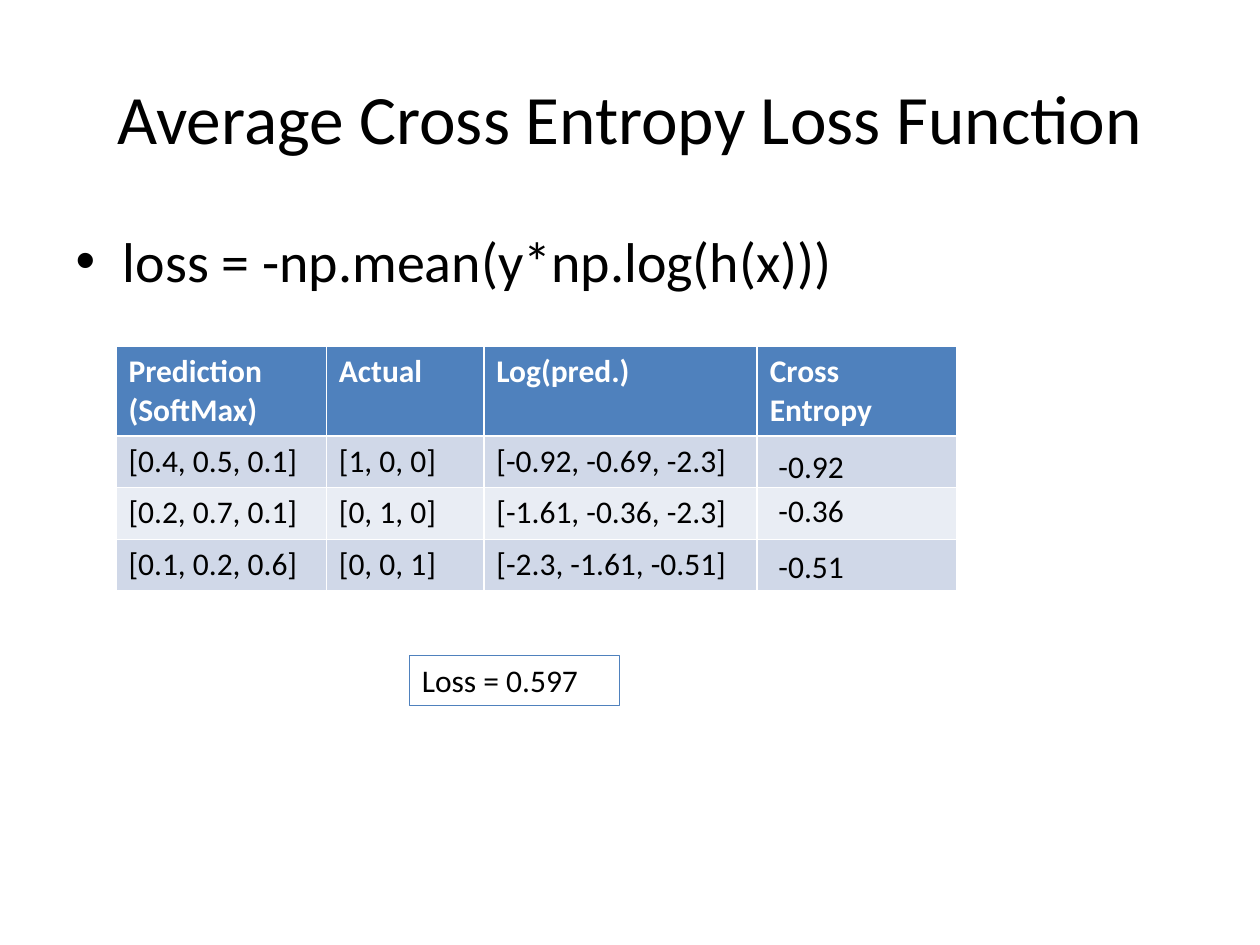
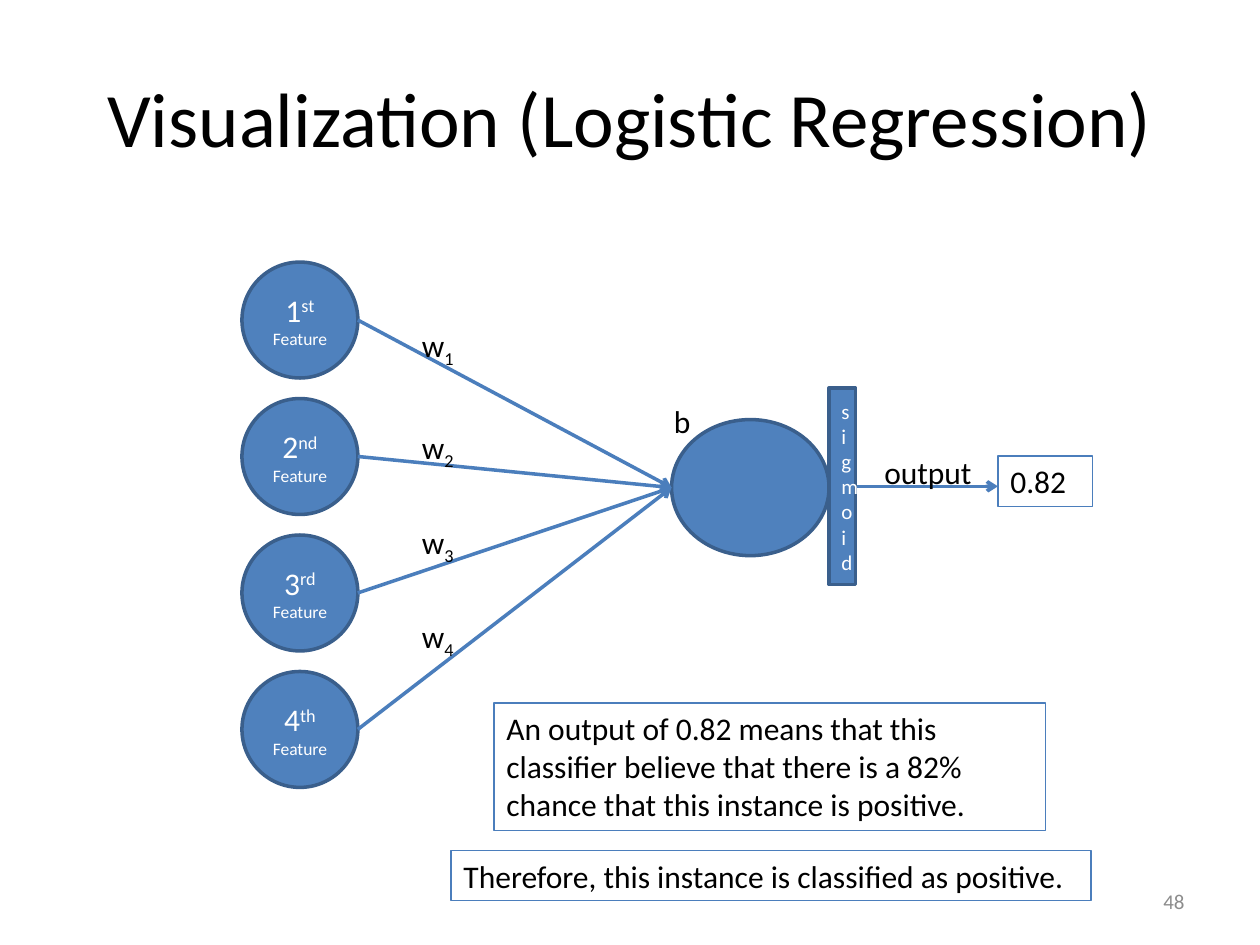
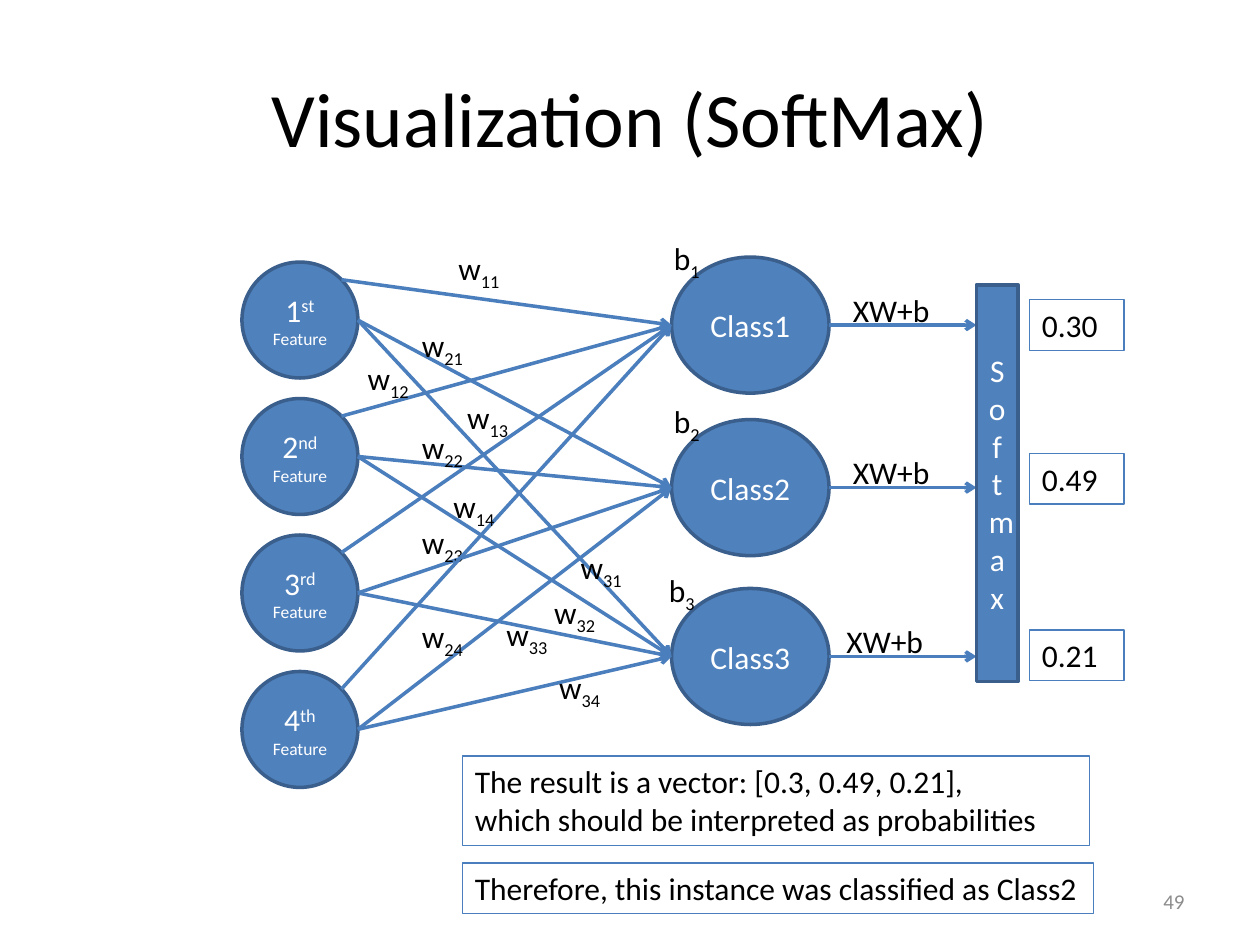
from lxml import etree
from pptx import Presentation
from pptx.dml.color import RGBColor
from pptx.enum import shapes, text
from pptx.oxml import ns
from pptx.util import Inches, Pt

COLORS = {
    "text": "000000", "light": "FFFFFF", "number": "8C8C8C",
    "fill": "4F81BD", "outline": "3A5F8C", "arrow": "4B7EBC",
    "band_dark": "D0D8E8", "band_light": "E9EDF4",
}
FONT = "Calibri"
SUBSCRIPT, SUPERSCRIPT = -25000, 30000

FEATURE_LEFT, FEATURE_TOP, FEATURE_STEP, FEATURE_SIZE = 1.92, 2.08, 1.083, 0.92
NEURON_LEFT, NEURON_WIDTH, NEURON_HEIGHT = 5.33, 1.25, 1.08
ORDINALS = ["st", "nd", "rd", "th"]


def color(name):
    return RGBColor.from_string(COLORS[name])


def style(para, size=18, ink="text", align=text.PP_ALIGN.LEFT, bold=False):
    para.alignment = align
    font = para.font
    font.name, font.size, font.bold = FONT, Pt(size), bold
    font.color.rgb = color(ink)


def add_span(para, words, baseline=0, size=None):
    span = para.add_run()
    span.text = words
    if baseline:
        span.font._element.set("baseline", str(baseline))
    if size:
        span.font.size = Pt(size)


def add_page(deck, title, number=None, layout=5, size=44):
    page = deck.slides.add_slide(deck.slide_layouts[layout])
    holder = page.shapes.title
    holder.left, holder.top, holder.width, holder.height = map(Inches, (0.5, 0.3, 9, 1.25))
    holder.text_frame.text = title
    holder.text_frame.vertical_anchor = text.MSO_ANCHOR.MIDDLE
    style(holder.text_frame.paragraphs[0], size, align=text.PP_ALIGN.CENTER)
    if number:
        box = page.shapes.add_textbox(*map(Inches, (7.17, 6.95, 2.33, 0.4)))
        box.text_frame.text = number
        box.text_frame.vertical_anchor = text.MSO_ANCHOR.MIDDLE
        style(box.text_frame.paragraphs[0], 12, "number", text.PP_ALIGN.RIGHT)
    return page


def add_label(canvas, words, left, top, width, height=0.4, subscript=""):
    box = canvas.add_textbox(*map(Inches, (left, top, width, height)))
    frame = box.text_frame
    frame.word_wrap = True
    frame.auto_size = text.MSO_AUTO_SIZE.SHAPE_TO_FIT_TEXT
    frame.text = words
    for para in frame.paragraphs:
        style(para)
    if subscript:
        add_span(frame.paragraphs[0], subscript, SUBSCRIPT)
    return box


def add_framed_label(canvas, words, left, top, width, height=0.4, line="arrow"):
    box = add_label(canvas, words, left, top, width, height)
    box.line.color.rgb = color(line)
    box.line.width = Pt(0.75)


def add_node(canvas, kind, left, top, width, height, words="", size=18):
    """Add a filled shape and return its paragraph."""
    node = canvas.add_shape(kind, *map(Inches, (left, top, width, height)))
    node.shadow.inherit = False
    node.fill.solid()
    node.fill.fore_color.rgb = color("fill")
    node.line.color.rgb = color("outline")
    node.line.width = Pt(2)
    node.text_frame.word_wrap = True
    node.text_frame.vertical_anchor = text.MSO_ANCHOR.MIDDLE
    para = node.text_frame.paragraphs[0]
    style(para, size, "light", text.PP_ALIGN.CENTER)
    if words:
        add_span(para, words)
    return para


def add_arrow(canvas, start, end):
    arrow = canvas.add_connector(shapes.MSO_CONNECTOR.STRAIGHT, *map(Inches, (*start, *end)))
    arrow.line.color.rgb = color("arrow")
    arrow.line.width = Pt(2)
    etree.SubElement(arrow.line._get_or_add_ln(), ns.qn("a:tailEnd"), type="arrow")
    etree.SubElement(arrow._element.spPr, ns.qn("a:effectLst"))


def add_features(canvas):
    for row, ordinal in enumerate(ORDINALS):
        para = add_node(canvas, shapes.MSO_SHAPE.OVAL, FEATURE_LEFT,
                        FEATURE_TOP + row * FEATURE_STEP, FEATURE_SIZE, FEATURE_SIZE)
        add_span(para, str(row + 1))
        add_span(para, ordinal + " ", SUPERSCRIPT)
        add_span(para, "Feature", size=10)


def add_neuron(canvas, top, name="", from_corner=False):
    """Add a neuron with an arrow from the right or upper right of each feature."""
    add_node(canvas, shapes.MSO_SHAPE.OVAL, NEURON_LEFT, top, NEURON_WIDTH, NEURON_HEIGHT, name)
    shift_x, shift_y = (-0.13, -0.32) if from_corner else (0, 0)
    for row in range(len(ORDINALS)):
        start = (FEATURE_LEFT + FEATURE_SIZE + shift_x,
                 FEATURE_TOP + FEATURE_SIZE / 2 + row * FEATURE_STEP + shift_y)
        add_arrow(canvas, start, (NEURON_LEFT, top + NEURON_HEIGHT / 2))


def add_weights(canvas, places, prefix=""):
    for index, (left, top) in enumerate(places, 1):
        add_label(canvas, "w", left, top, 0.7, subscript=f"{prefix}{index}")


def add_loss_table(page, rows, widths):
    table = page.shapes.add_table(len(rows), len(widths),
                                  *map(Inches, (0.92, 2.75, sum(widths), 1.92))).table
    for column, width in zip(table.columns, widths):
        column.width = Inches(width)
    for index, values in enumerate(rows):
        header = index == 0
        table.rows[index].height = Inches(0.7 if header else 0.41)
        fill = "fill" if header else "band_dark" if index % 2 else "band_light"
        for cell, value in zip(table.rows[index].cells, values):
            cell.fill.solid()
            cell.fill.fore_color.rgb = color(fill)
            cell.text = value
            for para in cell.text_frame.paragraphs:
                style(para, ink="light" if header else "text", bold=header)


def build_loss_page(deck):
    page = add_page(deck, "Average Cross Entropy Loss Function", layout=1, size=39.6)
    body = page.placeholders[1]
    body.left, body.top, body.width, body.height = map(Inches, (0.5, 1.75, 9, 4.95))
    body.text_frame.text = "loss = -np.mean(y*np.log(h(x)))"
    style(body.text_frame.paragraphs[0], 32)
    add_loss_table(page, [
        ["Prediction\n(SoftMax)", "Actual", "Log(pred.)", "Cross Entropy"],
        ["[0.4, 0.5, 0.1]", "[1, 0, 0]", "[-0.92, -0.69, -2.3]", ""],
        ["[0.2, 0.7, 0.1]", "[0, 1, 0]", "[-1.61, -0.36, -2.3]", ""],
        ["[0.1, 0.2, 0.6]", "[0, 0, 1]", "[-2.3, -1.61, -0.51]", ""],
    ], [1.67, 1.25, 2.17, 1.58])
    add_framed_label(page.shapes, "Loss = 0.597", 3.25, 5.2, 1.67, line="fill")
    for entropy, top in [("-0.92", 3.5), ("-0.36", 3.85), ("-0.51", 4.29)]:
        add_label(page.shapes, entropy, 6.08, top, 0.83)


def build_logistic_page(deck):
    canvas = add_page(deck, "Visualization (Logistic Regression)", "48").shapes
    add_features(canvas)
    add_neuron(canvas, 3.33)
    add_weights(canvas, [(3.25, 2.54), (3.25, 3.35), (3.25, 4.1), (3.25, 4.85)])
    add_label(canvas, "b", 5.25, 3.14, 0.33)
    add_arrow(canvas, (6.79, 3.86), (7.92, 3.86))
    add_label(canvas, "output", 6.92, 3.55, 1)
    add_framed_label(canvas, "0.82", 7.92, 3.62, 0.75)
    add_framed_label(canvas, "An output of 0.82 means that this classifier believe that there is "
                     "a 82% chance that this instance is positive.", 3.92, 5.58, 4.38, 1.01)
    add_framed_label(canvas, "Therefore, this instance is classified as positive.",
                     3.58, 6.75, 5.08)
    add_node(canvas, shapes.MSO_SHAPE.RECTANGLE, 6.58, 3.08, 0.21, 1.56, "sigmoid", 12)


def build_softmax_page(deck):
    page = add_page(deck, "Visualization (SoftMax)", "49")
    add_features(page.shapes)
    # class number, neuron top, bias left, sum left, weight places
    classes = [
        (2, 3.33, 5.25, 6.67, [(3.25, 2.54), (3.25, 3.35), (3.25, 4.1), (3.25, 4.85)]),
        (3, 4.67, 5.21, 6.62, [(4.51, 4.3), (4.3, 4.66), (3.92, 4.83), (4.34, 5.25)]),
        (1, 2.04, 5.25, 6.67, [(3.54, 1.93), (2.82, 2.8), (3.61, 3.11), (3.5, 3.82)]),
    ]
    for number, top, bias_left, sum_left, places in classes:
        canvas = page.shapes.add_group_shape().shapes
        middle = top + NEURON_HEIGHT / 2
        add_neuron(canvas, top, f"Class{number}", from_corner=number == 1)
        add_weights(canvas, places, number)
        add_label(canvas, "b", bias_left, top - 0.19, 0.58, subscript=str(number))
        add_arrow(canvas, (NEURON_LEFT + NEURON_WIDTH, middle), (7.75, middle))
        add_label(canvas, "XW+b", sum_left, top + 0.22, 1)
    for probability, top in [("0.30", 2.38), ("0.49", 3.6), ("0.21", 5)]:
        add_framed_label(page.shapes, probability, 8.17, top, 0.75)
    add_framed_label(page.shapes, "The result is a vector: [0.3, 0.49, 0.21],\n"
                     "which should be interpreted as probabilities", 3.67, 6, 4.98, 0.71)
    add_framed_label(page.shapes, "Therefore, this instance was classified as Class2",
                     3.67, 6.85, 5.01)
    add_node(page.shapes, shapes.MSO_SHAPE.RECTANGLE, 7.75, 2.26, 0.33, 3.15, "Softmax")


def main():
    deck = Presentation()
    deck.slide_width, deck.slide_height = Inches(10), Inches(7.5)
    build_loss_page(deck)
    build_logistic_page(deck)
    build_softmax_page(deck)
    deck.save("out.pptx")


if __name__ == "__main__":
    main()
